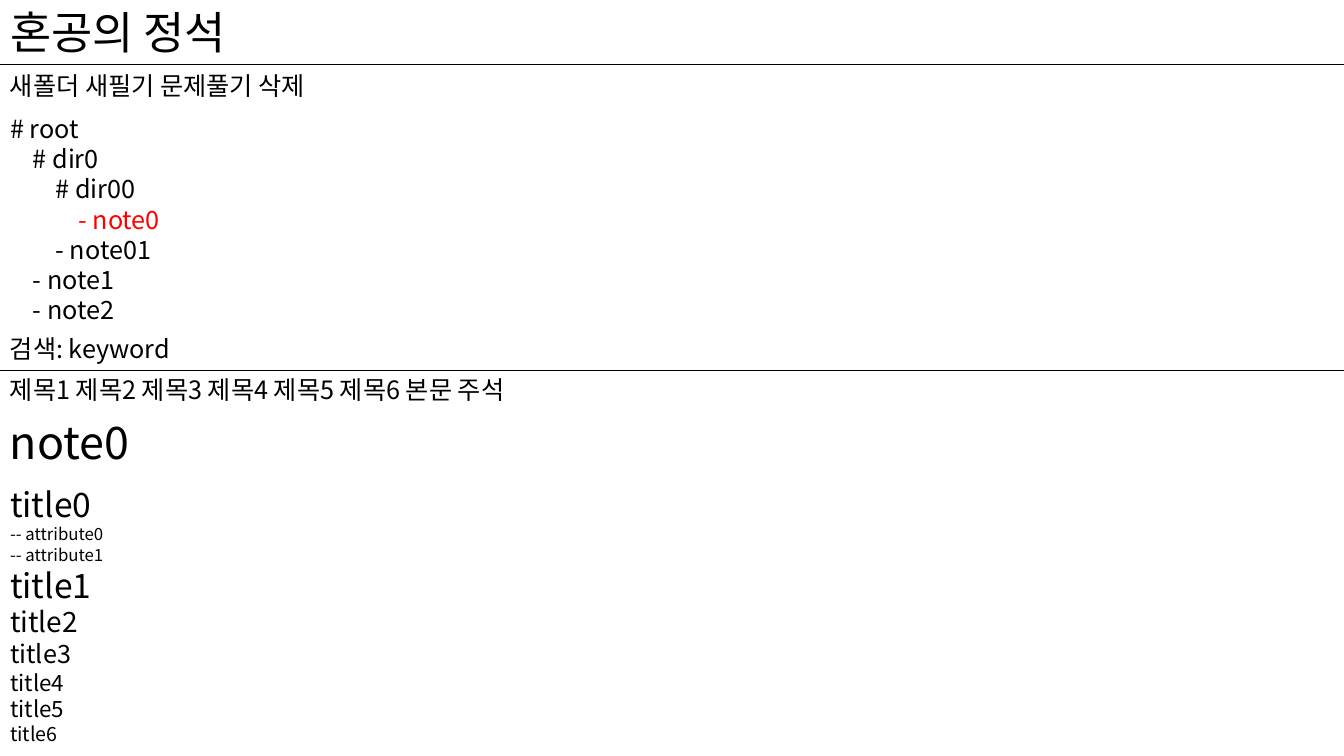
from lxml import etree
from pptx import Presentation
from pptx.dml.color import RGBColor
from pptx.enum.shapes import MSO_CONNECTOR
from pptx.enum.text import MSO_ANCHOR, MSO_AUTO_SIZE, PP_ALIGN
from pptx.oxml.ns import qn
from pptx.util import Pt

STRAIGHT = MSO_CONNECTOR.STRAIGHT
TOP = MSO_ANCHOR.TOP
NO_AUTOSIZE = MSO_AUTO_SIZE.NONE
LEFT = PP_ALIGN.LEFT

COLORS = {"text": "000000", "selected": "FF0000", "rule": "000000"}
FONT = "Noto Sans CJK KR"
WIDTH, HEIGHT = 960, 540
TWO_CONTENT_LAYOUT = 3
BODY_SIZE, HEADING_SIZE = 18, 32
INDENT = 16.25
BAR_HEIGHT, HEADING_HEIGHT = 28.8, 46

TREE = [
    (0, "# root"),
    (1, "# dir0"),
    (2, "# dir00"),
    (3, "- note0"),
    (2, "- note01"),
    (1, "- note1"),
    (1, "- note2"),
]
SELECTED_NOTE = "- note0"
OUTLINE = [
    ("title0", 24),
    ("-- attribute0", 12),
    ("-- attribute1", 12),
    ("title1", 24),
    ("title2", 20),
    ("title3", 18),
    ("title4", 16),
    ("title5", 16),
    ("title6", 14),
]


def write_lines(shape, box, lines):
    """Place a text shape in its box and write (text, size, level, colour) lines."""
    shape.left, shape.top, shape.width, shape.height = [Pt(length) for length in box]
    frame = shape.text_frame
    frame.word_wrap = True
    frame.auto_size = NO_AUTOSIZE
    frame.vertical_anchor = TOP
    for index, (text, size, level, color) in enumerate(lines):
        paragraph = frame.add_paragraph() if index else frame.paragraphs[0]
        paragraph.alignment = LEFT
        paragraph.line_spacing = 1.0
        paragraph.space_before = paragraph.space_after = Pt(0)
        properties = paragraph._p.get_or_add_pPr()
        properties.set("marL", str(Pt(level * INDENT)))
        properties.set("indent", "0")
        etree.SubElement(properties, qn("a:buNone"))
        run = paragraph.add_run()
        run.text = text
        run.font.name = FONT
        run.font.size = Pt(size)
        run.font.color.rgb = RGBColor.from_string(COLORS[color])
        east_asian = etree.SubElement(run._r.get_or_add_rPr(), qn("a:ea"))
        east_asian.set("typeface", FONT)


def add_line_of_text(slide, box, text, size=BODY_SIZE):
    """Add a text box holding one line."""
    shape = slide.shapes.add_textbox(0, 0, 0, 0)
    write_lines(shape, box, [(text, size, 0, "text")])


def add_rule(slide, left, top, width):
    """Draw a thin horizontal rule."""
    rule = slide.shapes.add_connector(
        STRAIGHT, Pt(left), Pt(top), Pt(left + width), Pt(top)
    )
    rule.line.color.rgb = RGBColor.from_string(COLORS["rule"])
    rule.line.width = Pt(0.5)
    etree.SubElement(rule._element.spPr, qn("a:effectLst"))


def add_header(slide, left, top, width):
    """Fill the application title and rule it off."""
    box = (left, top, 270.7, HEADING_HEIGHT)
    write_lines(slide.shapes.title, box, [("혼공의 정석", HEADING_SIZE, 0, "text")])
    add_rule(slide, left, top + HEADING_HEIGHT, width)


def add_browser(slide, body, left, top, width, height):
    """Build the folder commands, note tree and search line."""
    add_line_of_text(slide, (left, top, width, BAR_HEIGHT), "새폴더 새필기 문제풀기 삭제")
    lines = [
        (text, BODY_SIZE, level, "selected" if text == SELECTED_NOTE else "text")
        for level, text in TREE
    ]
    write_lines(body, (left, top + 30.5, width, 159.8), lines)
    search_top = top + height - BAR_HEIGHT - 0.7
    add_line_of_text(slide, (left, search_top, width, BAR_HEIGHT), "검색: keyword")
    add_rule(slide, left, top + height, width)


def add_editor(slide, body, left, top, width, height):
    """Build the style commands, note heading and note outline."""
    styles = [f"제목{number}" for number in range(1, 7)] + ["본문", "주석"]
    add_line_of_text(slide, (left, top, width, BAR_HEIGHT), " ".join(styles))
    heading_box = (left, top + BAR_HEIGHT, width, HEADING_HEIGHT)
    add_line_of_text(slide, heading_box, "note0", HEADING_SIZE)
    lines = [(text, size, 0, "text") for text, size in OUTLINE]
    write_lines(body, (left, top + 77.8, width, height - 77.8), lines)


def main():
    """Build and save the note application slide."""
    presentation = Presentation()
    presentation.slide_width = Pt(WIDTH)
    presentation.slide_height = Pt(HEIGHT)
    layout = presentation.slide_layouts[TWO_CONTENT_LAYOUT]
    slide = presentation.slides.add_slide(layout)
    tree_body, outline_body = list(slide.placeholders)[1:3]
    add_header(slide, 0, 0, WIDTH)
    add_browser(slide, tree_body, 0, 46.8, WIDTH, 217.4)
    add_editor(slide, outline_body, 0, 264.2, WIDTH, 274.4)
    presentation.save("out.pptx")


if __name__ == "__main__":
    main()
